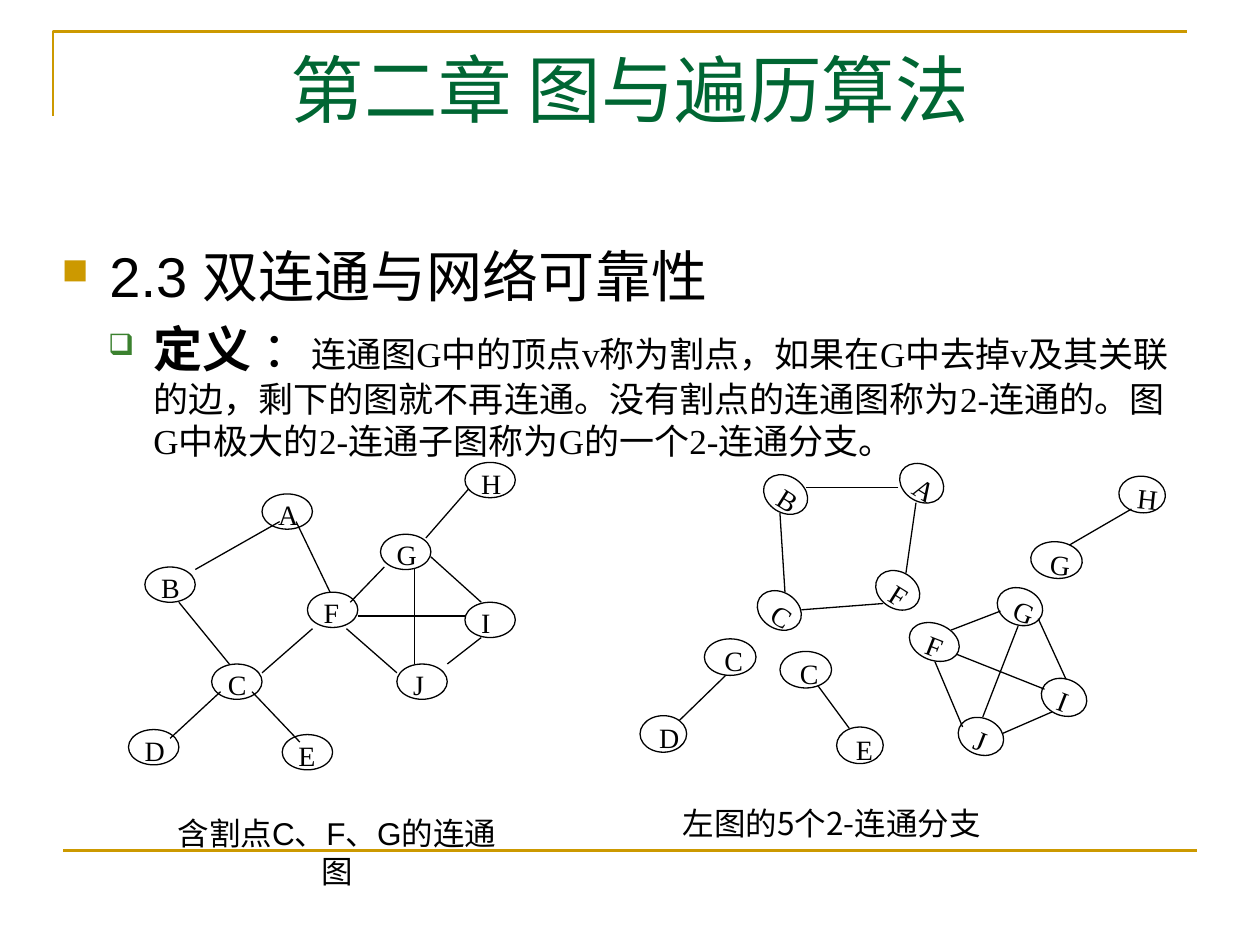
from dataclasses import dataclass

from lxml import etree
from pptx import Presentation
from pptx.dml.color import RGBColor
from pptx.enum.shapes import MSO_CONNECTOR, MSO_SHAPE
from pptx.enum.text import MSO_ANCHOR, PP_ALIGN
from pptx.oxml.ns import qn
from pptx.util import Inches, Pt

ELLIPSE, RECT = MSO_SHAPE.OVAL, MSO_SHAPE.RECTANGLE
STRAIGHT = MSO_CONNECTOR.STRAIGHT
TOP = MSO_ANCHOR.TOP
LEFT, CENTER, JUSTIFY = PP_ALIGN.LEFT, PP_ALIGN.CENTER, PP_ALIGN.JUSTIFY
COLS, ROWS = 10, 7.5
CELL = Inches(1)


@dataclass(frozen=True)
class Theme:
    ink: str = "000000"
    paper: str = "FFFFFF"
    gold: str = "CC9900"
    title_green: str = "006633"
    bullet_green: str = "3B812F"
    serif: str = "Times New Roman"
    sans: str = "Arial"
    cjk: str = "Noto Sans CJK SC"
    title: int = 42
    heading: int = 32
    term: int = 28
    body: int = 20
    caption: int = 18
    node: int = 16
    rule: float = 1.5
    edge: float = 0.75


T = Theme()


def grid(*cells):
    return [round(c * CELL) for c in cells]


def rgb(value):
    return RGBColor.from_string(value)


def write(p, text, size, font=T.sans, color=T.ink, bold=False):
    r = p.add_run()
    r.text = text
    r.font.size, r.font.name, r.font.bold = Pt(size), font, bold
    r.font.color.rgb = rgb(color)
    etree.SubElement(r._r.get_or_add_rPr(), qn("a:ea")).set("typeface", T.cjk)
    return r


def layout(p, align=LEFT, spacing=None, before=None, margin=0, indent=0, bullet=None):
    p.alignment = align
    if spacing:
        p.line_spacing = spacing
    if before:
        p.space_before = Pt(before)
    pPr = p._p.get_or_add_pPr()
    pPr.set("marL", str(grid(margin)[0]))
    pPr.set("indent", str(grid(indent)[0]))
    if bullet:
        char, color, percent = bullet
        clr = etree.SubElement(pPr, qn("a:buClr"))
        etree.SubElement(clr, qn("a:srgbClr")).set("val", color)
        etree.SubElement(pPr, qn("a:buSzPct")).set("val", str(percent * 1000))
        etree.SubElement(pPr, qn("a:buChar")).set("char", char)


class Board:
    def __init__(self, prs):
        self.s = prs.slides.add_slide(prs.slide_layouts[6])
        self.shapes = self.s.shapes

    def group(self):
        self.shapes = self.s.shapes.add_group_shape().shapes

    def ungroup(self):
        self.shapes = self.s.shapes

    def frame(self, sp, insets=(0.1, 0.05, 0.1, 0.05)):
        tf = sp.text_frame
        tf.word_wrap = True
        tf.vertical_anchor = TOP
        tf.margin_left, tf.margin_top, tf.margin_right, tf.margin_bottom = grid(*insets)
        return tf

    def text(self, box, **insets):
        return self.frame(self.shapes.add_textbox(*grid(*box)), **insets)

    def shape(self, kind, box, line=None, turn=0, **insets):
        sp = self.shapes.add_shape(kind, *grid(*box))
        sp.shadow.inherit = False
        sp.rotation = turn
        sp.fill.solid()
        sp.fill.fore_color.rgb = rgb(T.paper)
        if line:
            sp.line.color.rgb, sp.line.width = rgb(line), Pt(T.edge)
        else:
            sp.line.fill.background()
        return self.frame(sp, **insets)

    def node(self, name, x, y, w, h, turn=0, **insets):
        tf = self.shape(ELLIPSE, (x, y, w, h), T.ink, turn, **insets)
        p = tf.paragraphs[0]
        layout(p, JUSTIFY, spacing=0.8)
        write(p, name, T.node, T.serif)

    def line(self, x1, y1, x2, y2, color=T.ink, width=T.edge):
        c = self.shapes.add_connector(STRAIGHT, *grid(x1, y1, x2, y2))
        c.line.color.rgb, c.line.width = rgb(color), Pt(width)
        etree.SubElement(c._element.spPr, qn("a:effectLst"))

    def corner(self, *points):
        start, *rest = [grid(*pt) for pt in points]
        fb = self.shapes.build_freeform(*start)
        fb.add_line_segments(rest, close=False)
        sp = fb.convert_to_shape()
        sp.shadow.inherit = False
        sp.fill.background()
        sp.line.color.rgb, sp.line.width = rgb(T.gold), Pt(T.rule)


prs = Presentation()
prs.slide_width, prs.slide_height = grid(COLS, ROWS)
board = Board(prs)
board.corner((0.42, 0.92), (0.42, 0.25), (9.42, 0.25))
board.line(0.5, 6.75, 9.5, 6.75, T.gold, T.rule)

p = board.text((0.5, 0.3, 9, 1.25)).paragraphs[0]
layout(p, CENTER)
write(p, "第二章 图与遍历算法", T.title, T.serif, T.title_green)

tf = board.text((0.39, 1.87, 9, 1.92))
p = tf.paragraphs[0]
layout(p, before=0.2 * T.heading, margin=0.38, indent=-0.38, bullet=("■", T.gold, 65))
write(p, "2.3 双连通与网络可靠性", T.heading)
p = tf.add_paragraph()
layout(p, before=0.2 * T.term, margin=0.73, indent=-0.36, bullet=("❑", T.bullet_green, 60))
write(p, "定义", T.term, bold=True)
write(p, " ：", T.term)
write(p, "连通图G中的顶点v称为割点，如果在G中去掉v及其关联的边，剩下的图就不再连通。"
         "没有割点的连通图称为2-连通的。图G中极大的2-连通子图称为G的一个2-连通分支。",
      T.body, T.serif)

SMALL, WIDE = 0.37, 0.41
BLOCKS = [
    (32, [("A", 7.13, 3.69, SMALL), ("B", 6.05, 3.78, SMALL),
          ("F", 6.94, 4.54, SMALL), ("C", 6, 4.7, SMALL)],
     [(7.13, 3.87, 6.4, 3.87), (6.19, 4.07, 6.23, 4.7),
      (7.27, 3.99, 7.19, 4.55), (7.01, 4.79, 6.36, 4.84)], []),
    (0, [("D", 5.08, 5.68, SMALL)], [(5.76, 5.36, 5.39, 5.72)], [("C", 5.59, 5.07, WIDE)]),
    (21.3, [("G", 7.91, 4.67, SMALL), ("I", 8.26, 5.39, SMALL), ("J", 7.6, 5.7, SMALL)],
     [(7.42, 5.25, 7.64, 5.77), (7.55, 5, 7.94, 4.85), (8.24, 4.91, 8.46, 5.39),
      (8.35, 5.65, 7.96, 5.82), (8.08, 4.97, 7.8, 5.69), (7.56, 5.18, 8.29, 5.47)],
     [("F", 7.21, 4.95, WIDE)]),
    (6, [("H", 8.88, 3.78, SMALL)], [(8.48, 4.33, 8.98, 4.04)], [("G", 8.18, 4.3, WIDE)]),
    (0, [("E", 6.64, 5.77, SMALL)], [(6.49, 5.44, 6.74, 5.78)], [("C", 6.19, 5.17, WIDE)]),
]
board.group()
for turn, under, edges, over in BLOCKS:
    for name, x, y, w in under:
        board.node(name, x, y, w, 0.29, turn)
    for edge in edges:
        board.line(*edge)
    for name, x, y, w in over:
        board.node(name, x, y, w, 0.29, turn)
p = board.shape(RECT, (4.92, 6.25, 3.78, 0.39), insets=(0, 0, 0, 0)).paragraphs[0]
layout(p, JUSTIFY, spacing=1.44, margin=0.5)
write(p, "左图的5个2-连通分支", T.caption, T.cjk)

GRAPH_NODES = {
    "A": (2.08, 3.92), "B": (1.15, 4.5), "F": (2.44, 4.7), "E": (2.24, 5.83),
    "G": (3.02, 4.24), "D": (1.02, 5.79), "C": (1.68, 5.27), "I": (3.69, 4.78),
    "H": (3.69, 3.67), "J": (3.15, 5.27),
}
GRAPH_EDGES = [
    (2.22, 4.14, 1.55, 4.52), (1.42, 4.78, 1.82, 5.27), (2.35, 4.14, 2.62, 4.7),
    (2.48, 4.99, 2.08, 5.34), (1.75, 5.49, 1.35, 5.86), (2, 5.49, 2.38, 5.89),
    (2.75, 4.99, 3.15, 5.34), (2.78, 4.78, 3.05, 4.5), (3.38, 4.27, 3.72, 3.88),
    (3.42, 4.42, 3.82, 4.78), (3.82, 5.06, 3.55, 5.27), (3.29, 4.52, 3.29, 5.27),
    (2.84, 4.89, 3.69, 4.89),
]
board.group()
for name, (x, y) in GRAPH_NODES.items():
    board.node(name, x, y, 0.4, 0.28, insets=(0.07, 0.04, 0.07, 0.04))
for edge in GRAPH_EDGES:
    board.line(*edge)

board.ungroup()
p = board.text((1.25, 6.41, 3.01, 0.4), insets=(0.1, 0.05, 0.26, 0.05)).paragraphs[0]
layout(p, CENTER)
write(p, "含割点C、F、G的连通图", T.caption)

prs.save("out.pptx")
